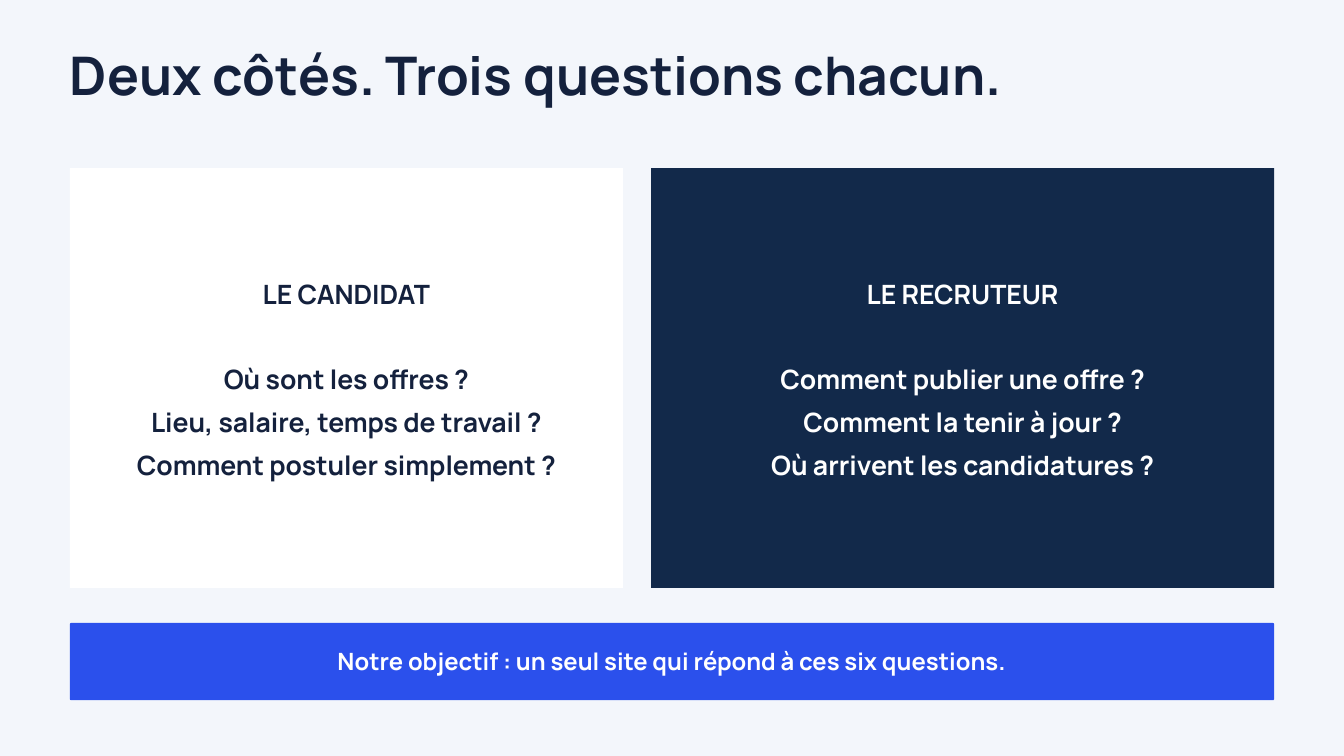
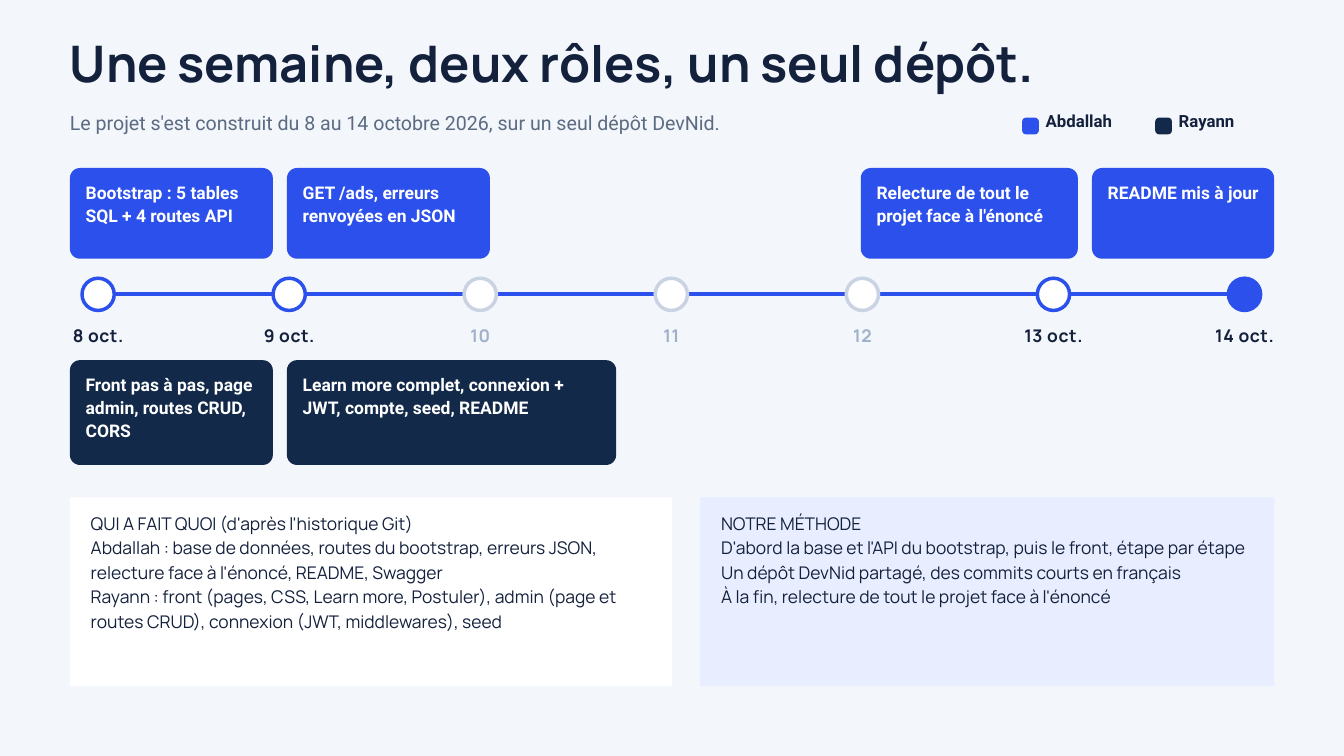
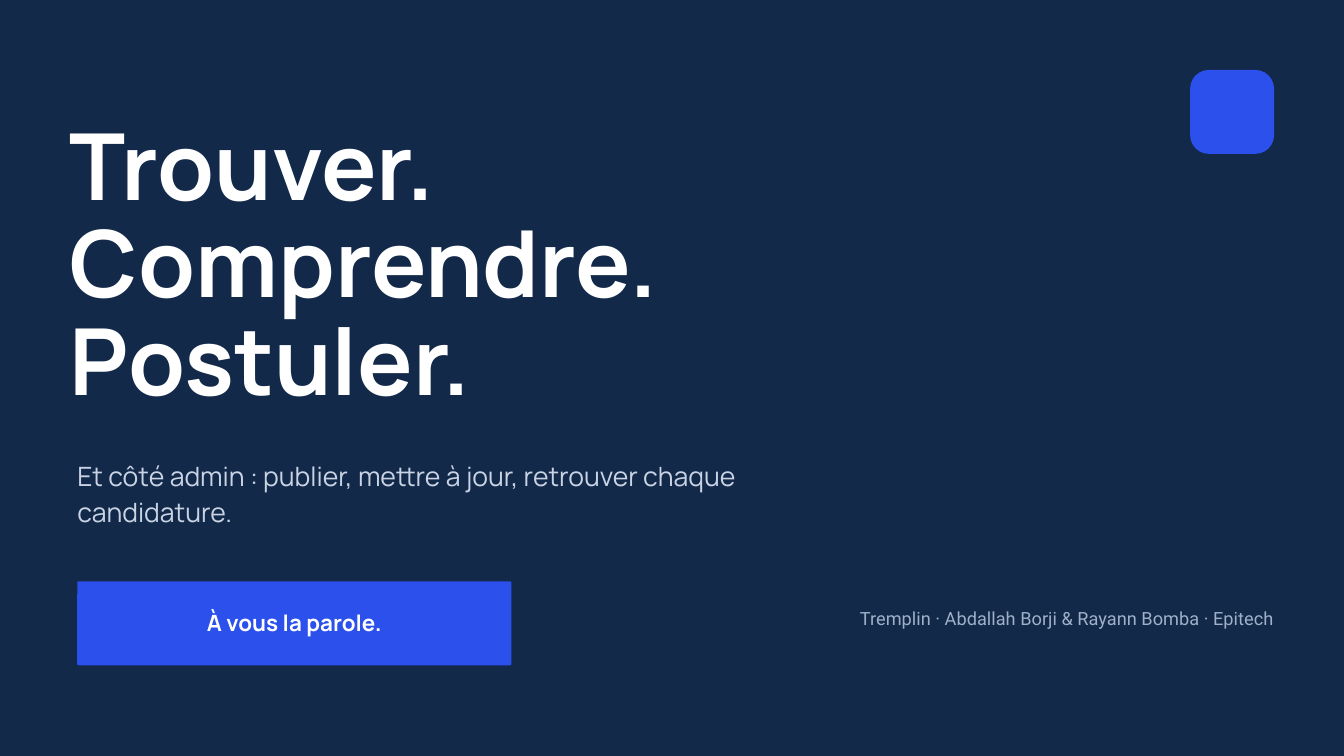
from dataclasses import dataclass

from lxml import etree
from pptx import Presentation
from pptx.dml.color import RGBColor
from pptx.enum.shapes import MSO_CONNECTOR, MSO_SHAPE
from pptx.enum.text import MSO_ANCHOR, MSO_AUTO_SIZE, PP_ALIGN
from pptx.oxml.ns import qn
from pptx.util import Inches, Pt

LEFT, CENTER, RIGHT = PP_ALIGN.LEFT, PP_ALIGN.CENTER, PP_ALIGN.RIGHT
TOP, MIDDLE = MSO_ANCHOR.TOP, MSO_ANCHOR.MIDDLE
ROUNDED, OVAL = MSO_SHAPE.ROUNDED_RECTANGLE, MSO_SHAPE.OVAL
STRAIGHT = MSO_CONNECTOR.STRAIGHT
TITLE_SLIDE, TWO_CONTENT = 0, 3  # layouts of the default template


@dataclass(frozen=True)
class Style:
    """Type size and exact line height in points, with font and weight."""
    size: float
    line: float
    font: str = "Manrope"
    bold: bool = True
    spacing: float = 0


@dataclass(frozen=True)
class Theme:
    page: str = "F3F6FB"
    navy: str = "12294A"
    blue: str = "2B50EC"
    pale_blue: str = "E8EEFF"
    white: str = "FFFFFF"
    ink: str = "14213D"
    slate: str = "5B6B82"
    muted: str = "9FB0C8"
    mist: str = "C9D3E3"

    title: Style = Style(57, 59.9)
    dense_title: Style = Style(54, 56.7)
    closing_title: Style = Style(99, 104)
    card: Style = Style(28.5, 45.6)
    banner: Style = Style(25.5, 29.3)
    button: Style = Style(24, 27.6)
    date: Style = Style(18.75, 26.2, spacing=0.6)
    panel: Style = Style(18.75, 26.2, bold=False)
    closing_text: Style = Style(28.5, 38.5, bold=False)
    intro: Style = Style(21, 29.4, "Roboto", False)
    legend: Style = Style(18, 25.2, "Roboto")
    task: Style = Style(18.75, 24.4, "Roboto")
    credits: Style = Style(19.5, 27.3, "Roboto", False)


THEME = Theme()
MARGIN, CONTENT_WIDTH = 1.04, 17.92
RIGHT_EDGE = MARGIN + CONTENT_WIDTH


def rgb(color):
    return RGBColor.from_string(color)


def place(shape, left, top, width, height):
    shape.left, shape.top = Inches(left), Inches(top)
    shape.width, shape.height = Inches(width), Inches(height)


def paint(shape, color):
    shape.fill.solid()
    shape.fill.fore_color.rgb = rgb(color)


def write(shape, text, style, color, align=LEFT, anchor=TOP, margins=(0, 0, 0, 0)):
    """Fill a shape with one paragraph per line; margins are left, top, right, bottom."""
    frame = shape.text_frame
    frame.text = text
    frame.word_wrap = True
    frame.auto_size = MSO_AUTO_SIZE.NONE
    frame.vertical_anchor = anchor
    (frame.margin_left, frame.margin_top,
     frame.margin_right, frame.margin_bottom) = map(Inches, margins)
    for paragraph in frame.paragraphs:
        paragraph.alignment = align
        paragraph.line_spacing = Pt(style.line)
        paragraph.space_before = Pt(0)
        for run in paragraph.runs:
            run.font.name = style.font
            run.font.size = Pt(style.size)
            run.font.bold = style.bold
            run.font.color.rgb = rgb(color)
            if style.spacing:
                run._r.get_or_add_rPr().set("spc", str(round(style.spacing * 100)))


def add_slide(prs, layout, background):
    slide = prs.slides.add_slide(prs.slide_layouts[layout])
    slide.background.fill.solid()
    slide.background.fill.fore_color.rgb = rgb(background)
    return slide


def set_title(slide, text, box, style, color=THEME.ink):
    place(slide.shapes.title, *box)
    write(slide.shapes.title, text, style, color)


def set_body(slide, index, text, box, style, color, **layout):
    """Fill a body placeholder without bullets or indents."""
    body = slide.placeholders[index]
    place(body, *box)
    write(body, text, style, color, **layout)
    for paragraph in body.text_frame.paragraphs:
        properties = paragraph._p.get_or_add_pPr()
        properties.set("marL", "0")
        properties.set("indent", "0")
        etree.SubElement(properties, qn("a:buNone"))
    return body


def add_text(slide, text, box, style, color, align=LEFT):
    label = slide.shapes.add_textbox(*map(Inches, box))
    write(label, text, style, color, align)


def add_block(slide, box, color, radius):
    block = slide.shapes.add_shape(ROUNDED, *map(Inches, box))
    block.adjustments[0] = radius / min(box[2:])
    block.shadow.inherit = False
    block.line.fill.background()
    paint(block, color)
    return block


def add_call(slide, text, box, style):
    call = add_block(slide, box, THEME.blue, 0.02)
    write(call, text, style, THEME.white, CENTER, MIDDLE, (0.06,) * 4)


def add_task(slide, text, box, color):
    task = add_block(slide, box, color, 0.15)
    write(task, text, THEME.task, THEME.white, margins=(0.19, 0.14, 0.18, 0))


def add_legend(slide, left, name, color):
    add_block(slide, (left, 1.75, 0.25, 0.25), color, 0.06)
    add_text(slide, name, (left + 0.35, 1.6, 1.46, 0.36), THEME.legend, THEME.ink)


def add_timeline(slide, days):
    """Draw evenly spaced days; each is a label, dot fill, dot outline and label colour."""
    first, last, axis, diameter, label_width = 1.46, 18.52, 4.38, 0.48, 1.25
    step = (last - first) / (len(days) - 1)
    track = slide.shapes.add_connector(
        STRAIGHT, Inches(first), Inches(axis), Inches(last), Inches(axis))
    track.line.color.rgb = rgb(THEME.blue)
    track.line.width = Pt(4.5)
    etree.SubElement(track._element.spPr, qn("a:effectLst"))
    for position, (label, fill, outline, ink) in enumerate(days):
        center = first + position * step
        dot = slide.shapes.add_shape(
            OVAL, Inches(center - diameter / 2), Inches(axis - diameter / 2),
            Inches(diameter), Inches(diameter))
        dot.shadow.inherit = False
        paint(dot, fill)
        dot.line.color.rgb = rgb(outline)
        dot.line.width = Pt(3.75)
        add_text(slide, label, (center - label_width / 2, 4.78, label_width, 0.38),
                 THEME.date, ink, CENTER)


def build_questions(prs):
    slide = add_slide(prs, TWO_CONTENT, THEME.page)
    set_title(slide, "Deux côtés. Trois questions chacun.", (MARGIN, 0.75, 15.62, 0.92),
              THEME.title)
    sides = [
        (1, MARGIN, 8.23, THEME.white, THEME.ink,
         "LE CANDIDAT\nOù sont les offres ?\nLieu, salaire, temps de travail ?\n"
         "Comment postuler simplement ?"),
        (2, 9.69, 9.27, THEME.navy, THEME.white,
         "LE RECRUTEUR\nComment publier une offre ?\nComment la tenir à jour ?\n"
         "Où arrivent les candidatures ?"),
    ]
    for index, left, width, fill, ink, questions in sides:
        card = set_body(slide, index, questions, (left, 2.5, width, 6.25), THEME.card, ink,
                        align=CENTER, anchor=MIDDLE, margins=(0.06, 0.06, 0.06, 0.18))
        paint(card, fill)
        card.text_frame.paragraphs[1].space_before = Pt(THEME.card.line)
    add_call(slide, "Notre objectif : un seul site qui répond à ces six questions.",
             (MARGIN, 9.27, CONTENT_WIDTH, 1.15), THEME.banner)


def build_week(prs):
    slide = add_slide(prs, TWO_CONTENT, THEME.page)
    set_title(slide, "Une semaine, deux rôles, un seul dépôt.", (MARGIN, 0.59, 16.15, 0.87),
              THEME.dense_title)
    add_text(slide,
             "Le projet s'est construit du 8 au 14 octobre 2026, sur un seul dépôt DevNid.",
             (MARGIN, 1.59, 12.5, 0.4), THEME.intro, THEME.slate)
    add_legend(slide, 15.21, "Abdallah", THEME.blue)
    add_legend(slide, 17.19, "Rayann", THEME.navy)

    active = (THEME.white, THEME.blue, THEME.ink)
    idle = (THEME.white, THEME.mist, THEME.muted)
    final = (THEME.blue, THEME.blue, THEME.ink)
    add_timeline(slide, [
        ("8 oct.", *active), ("9 oct.", *active), ("10", *idle), ("11", *idle),
        ("12", *idle), ("13 oct.", *active), ("14 oct.", *final)])

    abdallah_tasks = [
        (MARGIN, 3.02, "Bootstrap : 5 tables SQL + 4 routes API"),
        (4.27, 3.02, "GET /ads, erreurs renvoyées en JSON"),
        (12.81, 3.23, "Relecture de tout le projet face à l'énoncé"),
        (16.25, 2.71, "README mis à jour"),
    ]
    rayann_tasks = [
        (MARGIN, 3.02, "Front pas à pas, page admin, routes CRUD, CORS"),
        (4.27, 4.9, "Learn more complet, connexion + JWT, compte, seed, README"),
    ]
    for tasks, top, height, color in ((abdallah_tasks, 2.5, 1.35, THEME.blue),
                                      (rayann_tasks, 5.36, 1.56, THEME.navy)):
        for left, width, text in tasks:
            add_task(slide, text, (left, top, width, height), color)

    summaries = [
        (1, MARGIN, 8.96, THEME.white,
         "QUI A FAIT QUOI (d'après l'historique Git)\n"
         "Abdallah : base de données, routes du bootstrap, erreurs JSON, "
         "relecture face à l'énoncé, README, Swagger\n"
         "Rayann : front (pages, CSS, Learn more, Postuler), admin (page et routes CRUD), "
         "connexion (JWT, middlewares), seed"),
        (2, 10.42, 8.54, THEME.pale_blue,
         "NOTRE MÉTHODE\n"
         "D'abord la base et l'API du bootstrap, puis le front, étape par étape\n"
         "Un dépôt DevNid partagé, des commits courts en français\n"
         "À la fin, relecture de tout le projet face à l'énoncé"),
    ]
    for index, left, width, fill, summary in summaries:
        panel = set_body(slide, index, summary, (left, 7.4, width, 2.81), THEME.panel,
                         THEME.ink, margins=(0.31, 0.18, 0.31, 0))
        paint(panel, fill)


def build_closing(prs):
    slide = add_slide(prs, TITLE_SLIDE, THEME.navy)
    set_title(slide, "Trouver.\nComprendre.\nPostuler.", (MARGIN, 1.82, 13.02, 4.47),
              THEME.closing_title, THEME.white)
    set_body(slide, 1, "Et côté admin : publier, mettre à jour, retrouver chaque candidature.",
             (1.15, 6.79, 11.46, 1.09), THEME.closing_text, THEME.mist)
    add_call(slide, "À vous la parole.", (1.15, 8.65, 6.46, 1.25), THEME.button)
    add_block(slide, (RIGHT_EDGE - 1.25, 1.04, 1.25, 1.25), THEME.blue, 0.28)
    add_text(slide, "Tremplin · Abdallah Borji & Rayann Bomba · Epitech",
             (RIGHT_EDGE - 9.58, 8.98, 9.58, 0.38), THEME.credits, THEME.muted, RIGHT)


def main():
    prs = Presentation()
    prs.slide_width, prs.slide_height = Inches(20), Inches(11.25)
    build_questions(prs)
    build_week(prs)
    build_closing(prs)
    prs.save("out.pptx")


if __name__ == "__main__":
    main()
